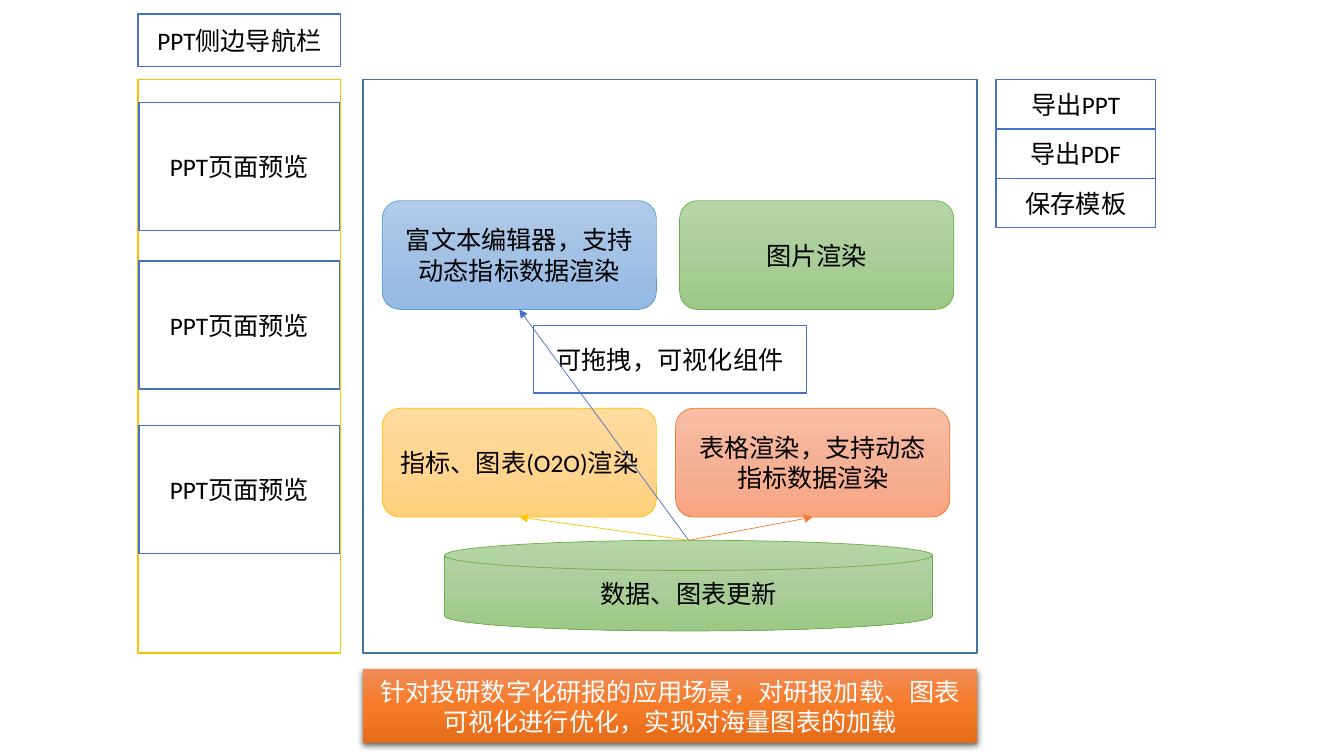
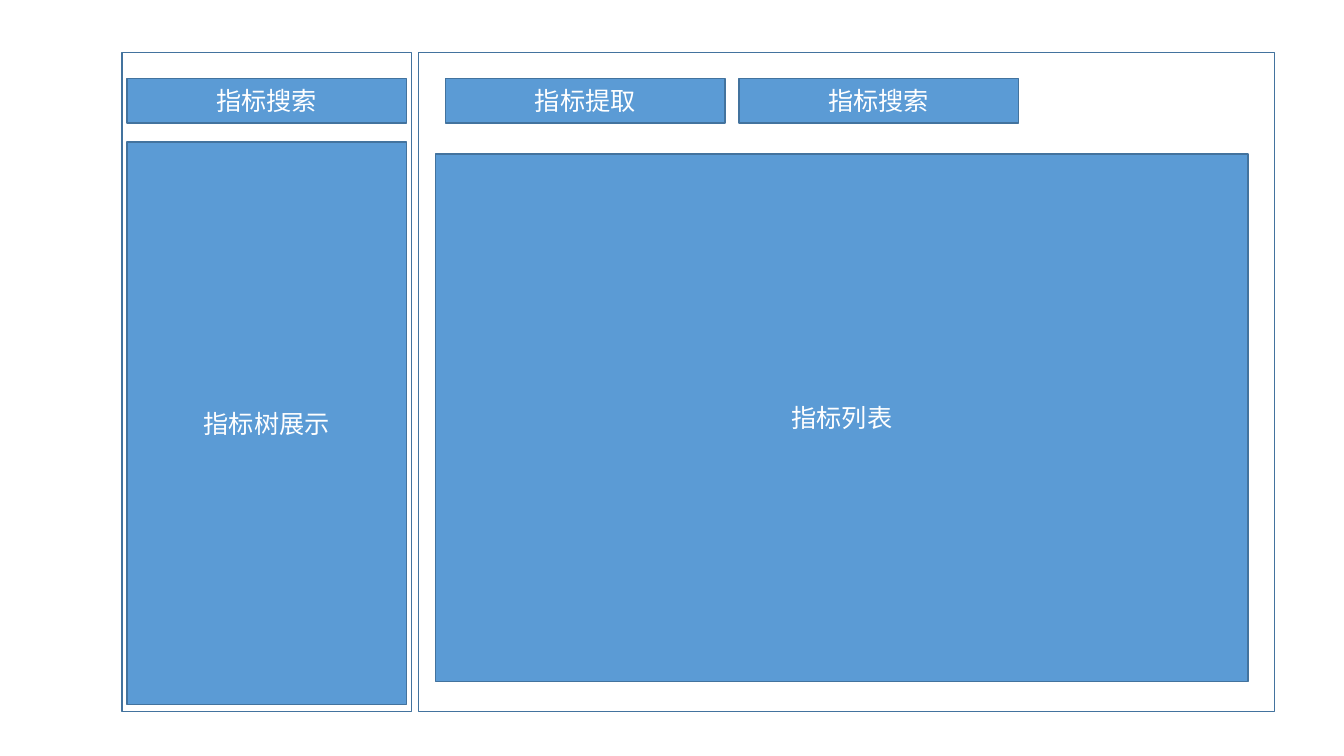
from copy import deepcopy

from lxml import etree
from pptx import Presentation
from pptx import util as u
from pptx.dml.color import RGBColor
from pptx.enum import shapes, text
from pptx.oxml.ns import qn

WHITE = RGBColor(0xFF, 0xFF, 0xFF)
BLACK = RGBColor(0, 0, 0)
INDIGO = RGBColor(0x44, 0x72, 0xC4)
STEEL = RGBColor(0x43, 0x73, 0x9E)
BLUE = RGBColor(0x5B, 0x9B, 0xD5)
GOLD = RGBColor(0xFF, 0xC0, 0x00)
GREEN = RGBColor(0x70, 0xAD, 0x47)
ORANGE = RGBColor(0xED, 0x7D, 0x31)


def shades(*codes):
    return [RGBColor.from_string(code) for code in codes]


BLUE_FADE = shades("B1CBE9", "A3C1E5", "93B9E4")
GOLD_FADE = shades("FFDB9E", "FFD590", "FFD07C")
GREEN_FADE = shades("B5D5A7", "AACE9A", "9CC987")
ORANGE_FADE = shades("F7BDA5", "F5B196", "F8A582")
BANNER_FADE = shades("F18C57", "F67B28", "E56C19")
RECT = shapes.MSO_SHAPE.RECTANGLE
ROUNDED = shapes.MSO_SHAPE.ROUNDED_RECTANGLE
DISK = shapes.MSO_SHAPE.FLOWCHART_MAGNETIC_DISK


def write(shape, words, color=BLACK, size=18, font="Calibri"):
    """Put centred, formatted words into a shape."""
    frame = shape.text_frame
    frame.word_wrap = True
    frame.vertical_anchor = text.MSO_ANCHOR.MIDDLE
    paragraph = frame.paragraphs[0]
    paragraph.alignment = text.PP_ALIGN.CENTER
    run = paragraph.add_run()
    run.text = words
    run.font.name, run.font.size = font, u.Pt(size)
    run.font.color.rgb = color


class Wireframe:
    """Hold the deck's style and the slide being drawn."""

    def __init__(self):
        """Start an empty widescreen deck."""
        self.deck = Presentation()
        self.deck.slide_width = u.Inches(13.33)
        self.deck.slide_height = u.Inches(7.5)

    def new_slide(self):
        """Move on to a new blank slide."""
        self.slide = self.deck.slides.add_slide(self.deck.slide_layouts[6])

    def box(self, area, words="", kind=RECT, fill=WHITE, line=INDIGO, weight=1, color=BLACK):
        """Draw a filled shape; a list of colours makes a vertical gradient."""
        shape = self.slide.shapes.add_shape(kind, *map(u.Inches, area))
        shape.shadow.inherit = False
        if isinstance(fill, list):
            self.fade(shape, fill)
        else:
            shape.fill.solid()
            shape.fill.fore_color.rgb = fill
        if line is None:
            shape.line.fill.background()
        else:
            shape.line.color.rgb = line
            shape.line.width = u.Pt(weight)
        if words:
            write(shape, words, color=color)
        return shape

    def fade(self, shape, colors):
        """Fill a shape with evenly spaced colours from top to bottom."""
        shape.fill.gradient()
        shape.fill.gradient_angle = 270
        stop_list = shape._element.spPr.find(qn("a:gradFill")).find(qn("a:gsLst"))
        stop_list.insert(1, deepcopy(stop_list[0]))
        for index, (stop, color) in enumerate(zip(shape.fill.gradient_stops, colors)):
            stop.position = index / (len(colors) - 1)
            stop.color.rgb = color

    def panel(self, area, words):
        """Draw a solid blue panel with white words."""
        return self.box(area, words, fill=BLUE, line=STEEL, color=WHITE)

    def banner(self, area, words):
        """Draw an orange banner with a soft shadow."""
        banner = self.box(area, words, fill=BANNER_FADE, line=None, color=WHITE)
        effects = banner._element.spPr.find(qn("a:effectLst"))
        shadow = etree.SubElement(effects, qn("a:outerShdw"), blurRad=str(u.Pt(4.5)),
                                  dist=str(u.Pt(1.5)), dir="5400000", algn="ctr", rotWithShape="0")
        tint = etree.SubElement(shadow, qn("a:srgbClr"), val=str(BLACK))
        etree.SubElement(tint, qn("a:alpha"), val="63000")

    def arrow(self, source, target, color):
        """Draw an arrow from the top of source to the bottom of target."""
        start = source.left + source.width // 2, source.top
        link = self.slide.shapes.add_connector(shapes.MSO_CONNECTOR.STRAIGHT, *start, *start)
        link.end_connect(target, 2)
        link.line.color.rgb = color
        link.line.width = u.Pt(0.5)
        etree.SubElement(link.line._get_or_add_ln(), qn("a:tailEnd"), type="triangle")
        etree.SubElement(link._element.spPr, qn("a:effectLst"))


def draw_editor(page):
    """Draw the report editor with its navigation, canvas and export buttons."""
    page.new_slide()
    page.box((1.37, 0.14, 2.01, 0.52), "PPT侧边导航栏")
    page.box((1.37, 0.79, 2.01, 5.69), line=GOLD)
    for top in (1.02, 2.59, 4.22):
        page.box((1.38, top, 1.99, 1.27), "PPT页面预览")
    for row, action in enumerate(("导出PPT", "导出PDF", "保存模板")):
        page.box((9.88, 0.79 + row * 0.49, 1.58, 0.49), action)

    page.box((3.6, 0.79, 6.09, 5.69), line=STEEL)
    components = (
        (3.79, 1.99, "富文本编辑器，支持动态指标数据渲染", BLUE_FADE, BLUE),
        (3.79, 4.05, "指标、图表(O2O)渲染", GOLD_FADE, GOLD),
        (6.74, 1.99, "图片渲染", GREEN_FADE, GREEN),
        (6.7, 4.05, "表格渲染，支持动态指标数据渲染", ORANGE_FADE, ORANGE),
    )
    rich_text, charts, _, tables = [
        page.box((left, top, 2.72, 1.08), words, ROUNDED, fade, line, 0.5)
        for left, top, words, fade, line in components
    ]
    page.box((5.29, 3.23, 2.71, 0.67), "可拖拽，可视化组件")
    page.banner((3.6, 6.64, 6.09, 0.73),
                "针对投研数字化研报的应用场景，对研报加载、图表可视化进行优化，实现对海量图表的加载")
    updates = page.box((4.41, 5.36, 4.84, 0.9), "数据、图表更新", DISK, GREEN_FADE, GREEN, 0.5)
    for component, color in ((rich_text, INDIGO), (charts, GOLD), (tables, ORANGE)):
        page.arrow(updates, component, color)


def draw_indicators(page):
    """Draw the indicator browser with its tree and list."""
    page.new_slide()
    for left, width in ((1.21, 2.87), (4.15, 8.49)):
        page.box((left, 0.52, width, 6.54), line=STEEL)
    page.panel((1.26, 1.41, 2.77, 5.58), "指标树展示")
    page.panel((4.32, 1.53, 8.06, 5.23), "指标列表")
    for left, words in ((1.26, "指标搜索"), (4.42, "指标提取"), (7.33, "指标搜索")):
        page.panel((left, 0.78, 2.77, 0.44), words)


def main():
    """Build and save the deck."""
    page = Wireframe()
    draw_editor(page)
    draw_indicators(page)
    page.deck.save("out.pptx")


if __name__ == "__main__":
    main()
